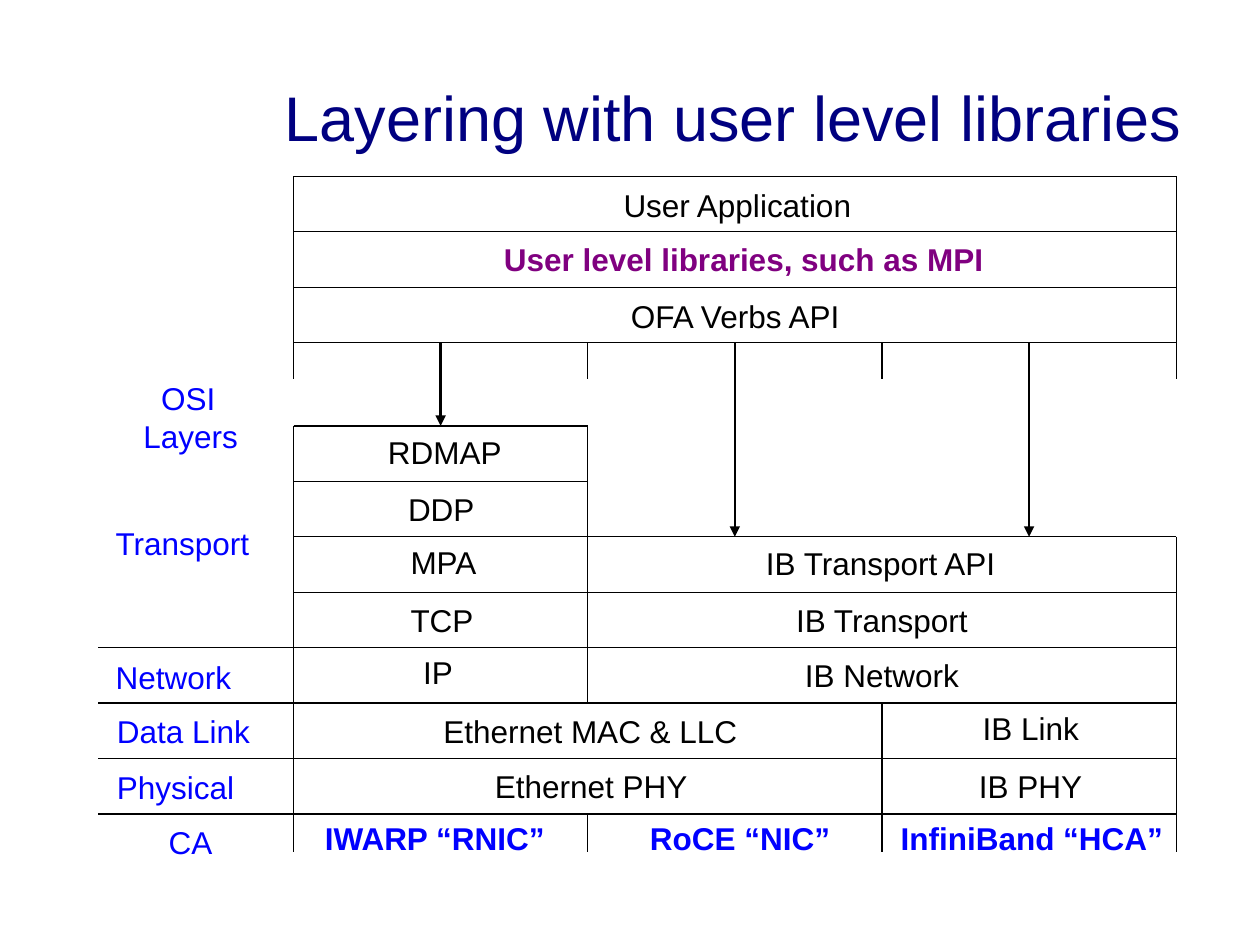
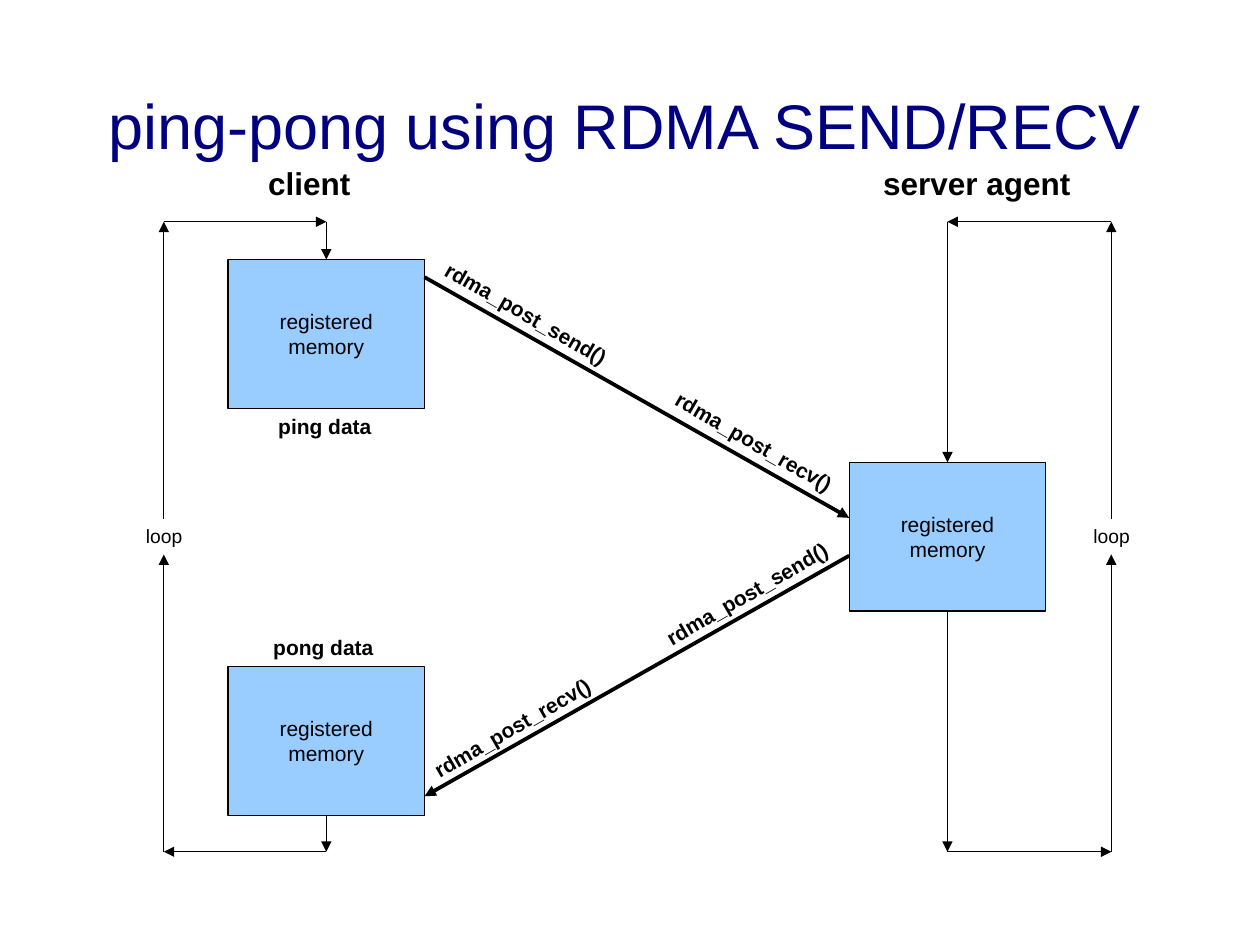
from dataclasses import dataclass
from itertools import pairwise

import pptx
import pptx.dml.color
import pptx.enum.shapes
import pptx.enum.text
import pptx.oxml.ns
import pptx.presentation
import pptx.shapes.connector
import pptx.slide
import pptx.text.text
import pptx.util
from lxml import etree

COLORS = {
    "title": "000080",
    "ink": "000000",
    "osi": "0000FF",
    "library": "800080",
    "memory": "99CCFF",
}
FONT = "Arial"
SLIDE_WIDTH = pptx.util.Inches(10)
SLIDE_HEIGHT = pptx.util.Inches(7.5)
GRID_COLUMNS = 100
GRID_ROWS = 75
THIN, ARROW, MESSAGE = 0.75, 1.45, 2.15

STACK_LEFT, STACK_COLUMN = 23.3, 23.35
STACK_TOP, STACK_ROW = 14, 4.4
OSI_LEFT = 7.8
STUB_ROW, BOTTOM_ROW = 3.66, 12.18

MEMORY_WIDTH, MEMORY_HEIGHT = 15.6, 11.8
LOOP_TOP, LOOP_BOTTOM = 17.6, 67.6
LOOP_BREAK = (41.2, 44)

Point = tuple[float, float]


@dataclass(frozen=True)
class Label:
    text: str
    left: float
    top: float
    width: float
    size: float = 18
    color: str = "ink"
    bold: bool = False
    rotation: float = 0
    first_indent: float = 0

    @property
    def height(self) -> float:
        lines = self.text.count("\n") + 1
        return 1 + lines * self.size / 6


@dataclass(frozen=True)
class Rule:
    start: Point
    end: Point


@dataclass(frozen=True)
class Loop:
    outer: float
    inner: float
    entry: float
    exit: float


def across(columns: float) -> int:
    return round(SLIDE_WIDTH * columns / GRID_COLUMNS)


def down(rows: float) -> int:
    return round(SLIDE_HEIGHT * rows / GRID_ROWS)


def stack_point(column: float, row: float) -> Point:
    return STACK_LEFT + column * STACK_COLUMN, STACK_TOP + row * STACK_ROW


def set_values(target: object, values: dict) -> None:
    for name, value in values.items():
        setattr(target, name, value)


def place(shape, left: float, top: float, width: float, height: float) -> None:
    set_values(shape, {
        "left": across(left), "top": down(top),
        "width": across(width), "height": down(height),
    })


def write(frame: pptx.text.text.TextFrame, text: str, size: float, color: str,
          bold: bool = False, centered: bool = False) -> None:
    anchors = pptx.enum.text.MSO_ANCHOR
    alignments = pptx.enum.text.PP_ALIGN
    set_values(frame, {
        "text": text,
        "word_wrap": True,
        "auto_size": pptx.enum.text.MSO_AUTO_SIZE.NONE,
        "vertical_anchor": anchors.MIDDLE if centered else anchors.TOP,
    })
    for paragraph in frame.paragraphs:
        paragraph.alignment = alignments.CENTER if centered else alignments.LEFT
        set_values(paragraph.font, {
            "name": FONT, "size": pptx.util.Pt(size), "bold": bold,
        })
        paragraph.font.color.rgb = pptx.dml.color.RGBColor.from_string(COLORS[color])


def add_titled_slide(presentation: pptx.presentation.Presentation, text: str,
                     left: float, top: float) -> pptx.slide.Slide:
    slide = presentation.slides.add_slide(
        presentation.slide_layouts.get_by_name("Title Only"))
    title = slide.shapes.title
    place(title, left, top, GRID_COLUMNS - left, 7)
    write(title.text_frame, text, 36, "title")
    return slide


def add_label(slide: pptx.slide.Slide, label: Label) -> None:
    box = slide.shapes.add_textbox(0, 0, 0, 0)
    place(box, label.left, label.top, label.width, label.height)
    box.rotation = label.rotation
    write(box.text_frame, label.text, label.size, label.color, label.bold)
    if label.first_indent:
        properties = box.text_frame.paragraphs[0]._p.get_or_add_pPr()
        properties.set("marL", str(across(label.first_indent)))


def add_line(slide: pptx.slide.Slide, start: Point, end: Point,
             weight: float = THIN, arrow: bool = False) -> None:
    connector = slide.shapes.add_connector(
        pptx.enum.shapes.MSO_CONNECTOR.STRAIGHT,
        across(start[0]), down(start[1]), across(end[0]), down(end[1]))
    connector.line.width = pptx.util.Pt(weight)
    connector.line.color.rgb = pptx.dml.color.RGBColor.from_string(COLORS["ink"])
    if arrow:
        line = connector.line._get_or_add_ln()
        etree.SubElement(line, pptx.oxml.ns.qn("a:tailEnd"), type="triangle")
    etree.SubElement(connector._element.spPr, pptx.oxml.ns.qn("a:effectLst"))


def add_memory(slide: pptx.slide.Slide, left: float, top: float) -> None:
    box = slide.shapes.add_shape(
        pptx.enum.shapes.MSO_SHAPE.RECTANGLE, 0, 0, 0, 0)
    place(box, left, top, MEMORY_WIDTH, MEMORY_HEIGHT)
    box.shadow.inherit = False
    box.fill.solid()
    box.fill.fore_color.rgb = pptx.dml.color.RGBColor.from_string(COLORS["memory"])
    box.line.color.rgb = pptx.dml.color.RGBColor.from_string(COLORS["ink"])
    box.line.width = pptx.util.Pt(THIN)
    write(box.text_frame, "registered\nmemory", 12, "ink", centered=True)


def add_loop(slide: pptx.slide.Slide, loop: Loop) -> None:
    upper_break, lower_break = LOOP_BREAK
    leaving = [(loop.inner, loop.exit), (loop.inner, LOOP_BOTTOM),
               (loop.outer, LOOP_BOTTOM), (loop.outer, lower_break)]
    returning = [(loop.outer, upper_break), (loop.outer, LOOP_TOP),
                 (loop.inner, LOOP_TOP), (loop.inner, loop.entry)]
    for route in (leaving, returning):
        for start, end in pairwise(route):
            add_line(slide, start, end, arrow=True)
    add_label(slide, Label("loop", loop.outer - 2.4, 41.1, 6.3, size=11))


def build_layers(presentation: pptx.presentation.Presentation) -> None:
    slide = add_titled_slide(
        presentation, "Layering with user level libraries", 21.6, 5.7)
    osi_column = (OSI_LEFT - STACK_LEFT) / STACK_COLUMN
    horizontals = [Rule((0, row), (3, row)) for row in (0, 1, 2, 3, 6.5, 7.5)]
    horizontals += [Rule((0, row), (1, row)) for row in (4.5, 5.5)]
    horizontals += [Rule((osi_column, row), (3, row))
                    for row in (8.5, 9.5, 10.5, 11.5)]
    verticals = [Rule((column, top), (column, bottom)) for column, top, bottom in (
        (0, 0, STUB_ROW), (1, 3, STUB_ROW), (2, 3, STUB_ROW), (3, 0, STUB_ROW),
        (0, 4.5, BOTTOM_ROW), (1, 4.5, 9.5), (1, 11.5, BOTTOM_ROW),
        (2, 9.5, BOTTOM_ROW), (3, 6.5, BOTTOM_ROW))]
    for rule in horizontals + verticals:
        add_line(slide, stack_point(*rule.start), stack_point(*rule.end))
    for column, landing in enumerate((4.5, 6.5, 6.5)):
        add_line(slide, stack_point(column + 0.5, 3),
                 stack_point(column + 0.5, landing), ARROW, arrow=True)

    osi = {"color": "osi"}
    adapter = {"color": "osi", "bold": True}
    labels = [
        Label("User Application", 48.5, 14.3, 26.1),
        Label("User level libraries, such as MPI", 39, 18.6, 51.9,
              color="library", bold=True),
        Label("OFA Verbs API", 49.1, 23.1, 24.7),
        Label("RDMAP", 29.8, 33.9, 14.2),
        Label("DDP", 31.4, 38.4, 9.4),
        Label("MPA", 31.6, 42.6, 9.5),
        Label("TCP", 31.6, 47.2, 9.1),
        Label("IP", 32.6, 51.3, 5.6),
        Label("IB Transport API", 59.8, 42.7, 26.5),
        Label("IB Transport", 62.2, 47.2, 20.4),
        Label("IB Network", 62.9, 51.6, 18.3),
        Label("Ethernet MAC & LLC", 34.2, 56, 32.8),
        Label("IB Link", 77, 55.8, 12.5),
        Label("Ethernet PHY", 38.3, 60.4, 22.3),
        Label("IB PHY", 76.7, 60.4, 13.2),
        Label("OSI\nLayers", 10.4, 29.6, 12.2, first_indent=1.4, **osi),
        Label("Transport", 8.2, 41.1, 16.4, **osi),
        Label("Network", 8.2, 51.7, 14.4, **osi),
        Label("Data Link", 8.3, 56, 16.2, **osi),
        Label("Physical", 8.3, 60.5, 14.6, **osi),
        Label("CA", 12.4, 64.8, 7.1, **osi),
        Label("IWARP “RNIC”", 24.8, 64.5, 26.3, **adapter),
        Label("RoCE “NIC”", 50.6, 64.5, 21.1, **adapter),
        Label("InfiniBand “HCA”", 70.5, 64.5, 29.5, **adapter),
    ]
    for label in labels:
        add_label(slide, label)


def build_ping_pong(presentation: pptx.presentation.Presentation) -> None:
    slide = add_titled_slide(
        presentation, "ping-pong using RDMA SEND/RECV", 7.6, 6.4)
    client_left, server_left = 18.1, 67.4
    ping_top, pong_top, server_top = 20.6, 52.9, 36.7
    for left, top in ((client_left, ping_top), (client_left, pong_top),
                      (server_left, server_top)):
        add_memory(slide, left, top)
    add_loop(slide, Loop(13, 25.9, ping_top, pong_top + MEMORY_HEIGHT))
    add_loop(slide, Loop(88.2, 75.2, server_top, server_top + MEMORY_HEIGHT))

    client_right = client_left + MEMORY_WIDTH
    for start, end in (((client_right, 22), (server_left, 41.1)),
                       ((server_left, 44.1), (client_right, 63.2))):
        add_line(slide, start, end, MESSAGE, arrow=True)

    heading = {"bold": True}
    caption = {"size": 12, "bold": True}
    labels = [
        Label("client", 20.3, 12.5, 11, **heading),
        Label("server agent", 69.1, 12.5, 21.8, **heading),
        Label("ping data", 21.1, 32.3, 12.2, **caption),
        Label("pong data", 20.7, 49.9, 12.9, **caption),
        Label("rdma_post_send()", 33.5, 23.6, 17.3, rotation=30, **caption),
        Label("rdma_post_recv()", 51.8, 33.8, 16.9, rotation=30, **caption),
        Label("rdma_post_send()", 51, 45.4, 17.3, rotation=330, **caption),
        Label("rdma_post_recv()", 32.6, 56, 16.9, rotation=330, **caption),
    ]
    for label in labels:
        add_label(slide, label)


def main() -> None:
    presentation = pptx.Presentation()
    set_values(presentation, {
        "slide_width": SLIDE_WIDTH, "slide_height": SLIDE_HEIGHT,
    })
    build_layers(presentation)
    build_ping_pong(presentation)
    presentation.save("out.pptx")


if __name__ == "__main__":
    main()
